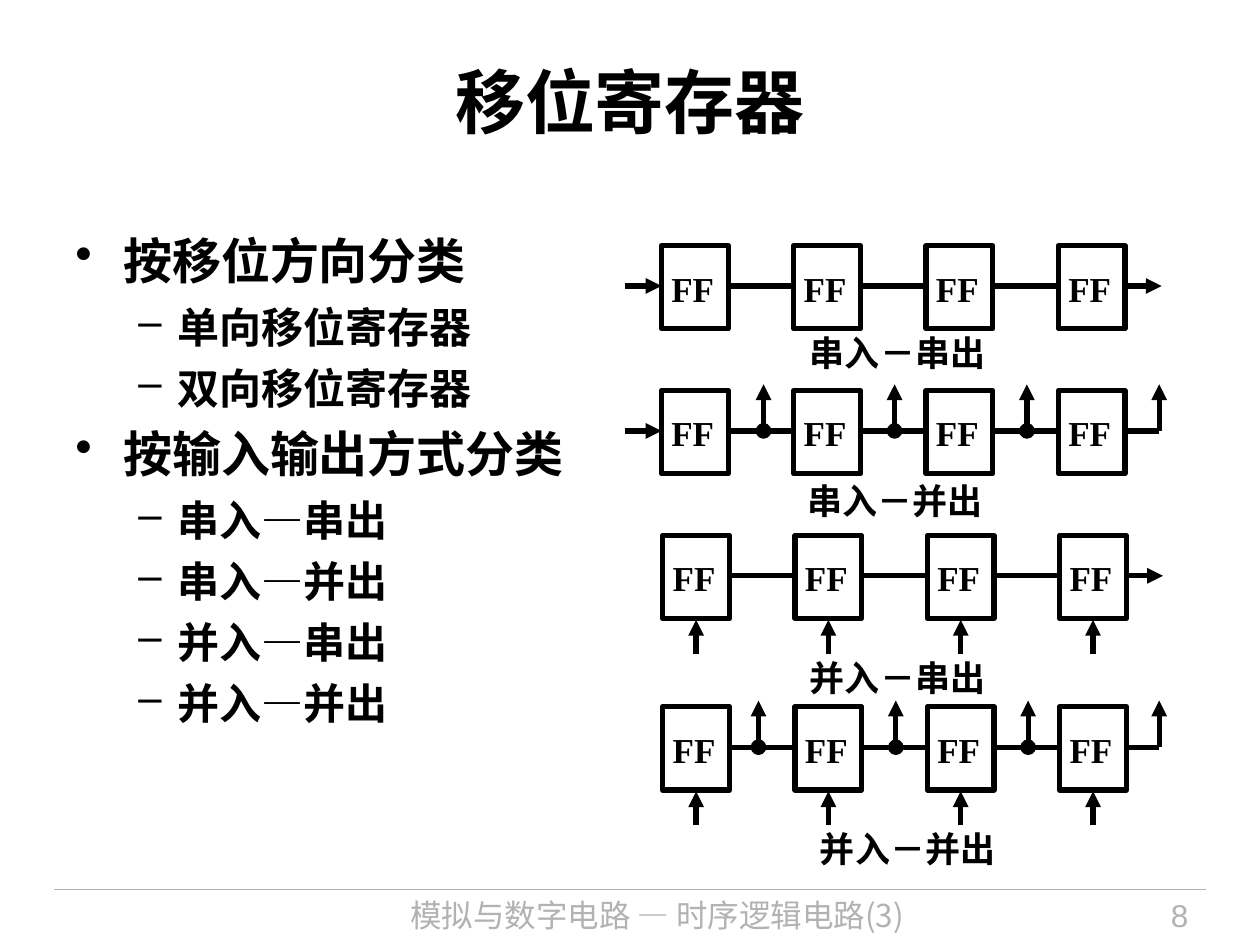
import pptx
import pptx.util
import pptx.dml.color
import pptx.enum.shapes
import pptx.enum.text
import pptx.oxml.ns
from lxml import etree

Inches = pptx.util.Inches
Pt = pptx.util.Pt
RGBColor = pptx.dml.color.RGBColor
Align = pptx.enum.text.PP_ALIGN
Anchor = pptx.enum.text.MSO_ANCHOR
qn = pptx.oxml.ns.qn

BLACK = RGBColor(0x00, 0x00, 0x00)
GRAY = RGBColor(0xB2, 0xB2, 0xB2)
SERIF = "Times New Roman"

TITLE = "移位寄存器"
FOOTER = "模拟与数字电路 — 时序逻辑电路(3)"
PAGE_NUMBER = "8"
OUTLINE = [
    (0, "按移位方向分类"),
    (1, "单向移位寄存器"),
    (1, "双向移位寄存器"),
    (0, "按输入输出方式分类"),
    (1, "串入—串出"),
    (1, "串入—并出"),
    (1, "并入—串出"),
    (1, "并入—并出"),
]
LEVELS = [
    {"bullet": "•", "left": 0.38, "hanging": 0.38, "size": 28, "after": 7},
    {"bullet": "–", "left": 0.81, "hanging": 0.31, "size": 24, "after": 6},
]
REGISTERS = [
    {"label": "串入－串出", "label_at": (6.33, 2.58), "left": 5.25, "top": 1.95,
     "parallel_in": False, "taps": []},
    {"label": "串入－并出", "label_at": (6.31, 3.76), "left": 5.25, "top": 3.10,
     "parallel_in": False, "taps": [6.06, 7.10, 8.15]},
    {"label": "并入－串出", "label_at": (6.33, 5.16), "left": 5.26, "top": 4.25,
     "parallel_in": True, "taps": []},
    {"label": "并入－并出", "label_at": (6.41, 6.52), "left": 5.26, "top": 5.61,
     "parallel_in": True, "taps": [6.02, 7.11, 8.16]},
]
STAGES = 4
PITCH = 1.05
BOX_WIDTH, BOX_HEIGHT = 0.53, 0.66
WIRE_DROP = 0.32
TAP_HEIGHT = 0.37
SERIAL_LENGTH = 0.29
CORNER_X = 9.20


def style(paragraph, size, name=SERIF, color=BLACK, bold=True):
    paragraph.font.size = Pt(size)
    paragraph.font.name = name
    paragraph.font.bold = bold
    paragraph.font.color.rgb = color


def add_text(slide, text, left, top, width, height, size,
             align=Align.LEFT, anchor=Anchor.TOP, **font):
    box = slide.shapes.add_textbox(Inches(left), Inches(top), Inches(width), Inches(height))
    box.text_frame.word_wrap = True
    box.text_frame.vertical_anchor = anchor
    paragraph = box.text_frame.paragraphs[0]
    paragraph.text = text
    paragraph.alignment = align
    style(paragraph, size, **font)


def add_line(slide, start, end, color=BLACK, width=3, head=None, tail=None):
    line = slide.shapes.add_connector(
        pptx.enum.shapes.MSO_CONNECTOR.STRAIGHT,
        Inches(start[0]), Inches(start[1]), Inches(end[0]), Inches(end[1]))
    line.line.color.rgb = color
    line.line.width = Pt(width)
    outline = line.line._get_or_add_ln()
    for tag, kind in (("a:headEnd", head), ("a:tailEnd", tail)):
        if kind:
            etree.SubElement(outline, qn(tag), type=kind)
    etree.SubElement(line._element.spPr, qn("a:effectLst"))


def add_outline(slide):
    box = slide.shapes.add_textbox(Inches(0.5), Inches(1.78), Inches(4.34), Inches(5.28))
    frame = box.text_frame
    frame.word_wrap = True
    for index, (depth, text) in enumerate(OUTLINE):
        level = LEVELS[depth]
        paragraph = frame.add_paragraph() if index else frame.paragraphs[0]
        paragraph.text = text
        paragraph.level = depth
        paragraph.space_after = Pt(level["after"])
        properties = paragraph._p.get_or_add_pPr()
        properties.set("marL", str(Inches(level["left"])))
        properties.set("indent", str(-Inches(level["hanging"])))
        bullet_color = etree.SubElement(properties, qn("a:buClr"))
        etree.SubElement(bullet_color, qn("a:srgbClr"), val=str(BLACK))
        etree.SubElement(properties, qn("a:buChar"), char=level["bullet"])
        style(paragraph, level["size"])


def add_flip_flop(slide, left, top):
    box = slide.shapes.add_shape(
        pptx.enum.shapes.MSO_SHAPE.RECTANGLE,
        Inches(left), Inches(top), Inches(BOX_WIDTH), Inches(BOX_HEIGHT))
    box.shadow.inherit = False
    box.fill.background()
    box.line.color.rgb = BLACK
    box.line.width = Pt(3)
    add_text(slide, "FF", left - 0.02, top + 0.12, 0.58, 0.44, 20)


def add_register(slide, register):
    top = register["top"]
    wire_y = top + WIRE_DROP
    lefts = [register["left"] + PITCH * stage for stage in range(STAGES)]
    rights = [left + BOX_WIDTH for left in lefts]

    for left in lefts:
        add_flip_flop(slide, left, top)
        if register["parallel_in"]:
            center = left + BOX_WIDTH / 2
            add_line(slide, (center, top + 0.94), (center, top + 0.67), tail="triangle")
    for right, next_left in zip(rights, lefts[1:]):
        add_line(slide, (right, wire_y), (next_left, wire_y))
    if not register["parallel_in"]:
        add_line(slide, (lefts[0] - SERIAL_LENGTH, wire_y), (lefts[0], wire_y), tail="triangle")

    for tap in register["taps"]:
        add_line(slide, (tap, wire_y), (tap, wire_y - TAP_HEIGHT), head="oval", tail="triangle")
    if register["taps"]:
        add_line(slide, (rights[-1], wire_y), (CORNER_X, wire_y))
        add_line(slide, (CORNER_X, wire_y), (CORNER_X, wire_y - TAP_HEIGHT), tail="triangle")
    else:
        add_line(slide, (rights[-1], wire_y), (rights[-1] + SERIAL_LENGTH, wire_y), tail="triangle")
    add_text(slide, register["label"], *register["label_at"], 1.8, 0.44, 20)


def main():
    presentation = pptx.Presentation()
    presentation.slide_width = Inches(10)
    presentation.slide_height = Inches(7.5)
    slide = presentation.slides.add_slide(presentation.slide_layouts[6])

    add_line(slide, (0.43, 7.06), (9.57, 7.06), color=GRAY, width=0.75)
    add_text(slide, FOOTER, 2.4, 7.06, 5.63, 0.44, 18, align=Align.CENTER,
             name="Noto Sans CJK SC", color=GRAY, bold=False)
    add_text(slide, PAGE_NUMBER, 8.2, 7.06, 1.33, 0.44, 18, align=Align.RIGHT,
             name="Arial", color=GRAY, bold=False)
    add_text(slide, TITLE, 0.5, 0.17, 9, 1.25, 40, align=Align.CENTER, anchor=Anchor.MIDDLE)
    add_outline(slide)
    for register in REGISTERS:
        add_register(slide, register)

    presentation.save("out.pptx")


if __name__ == "__main__":
    main()
